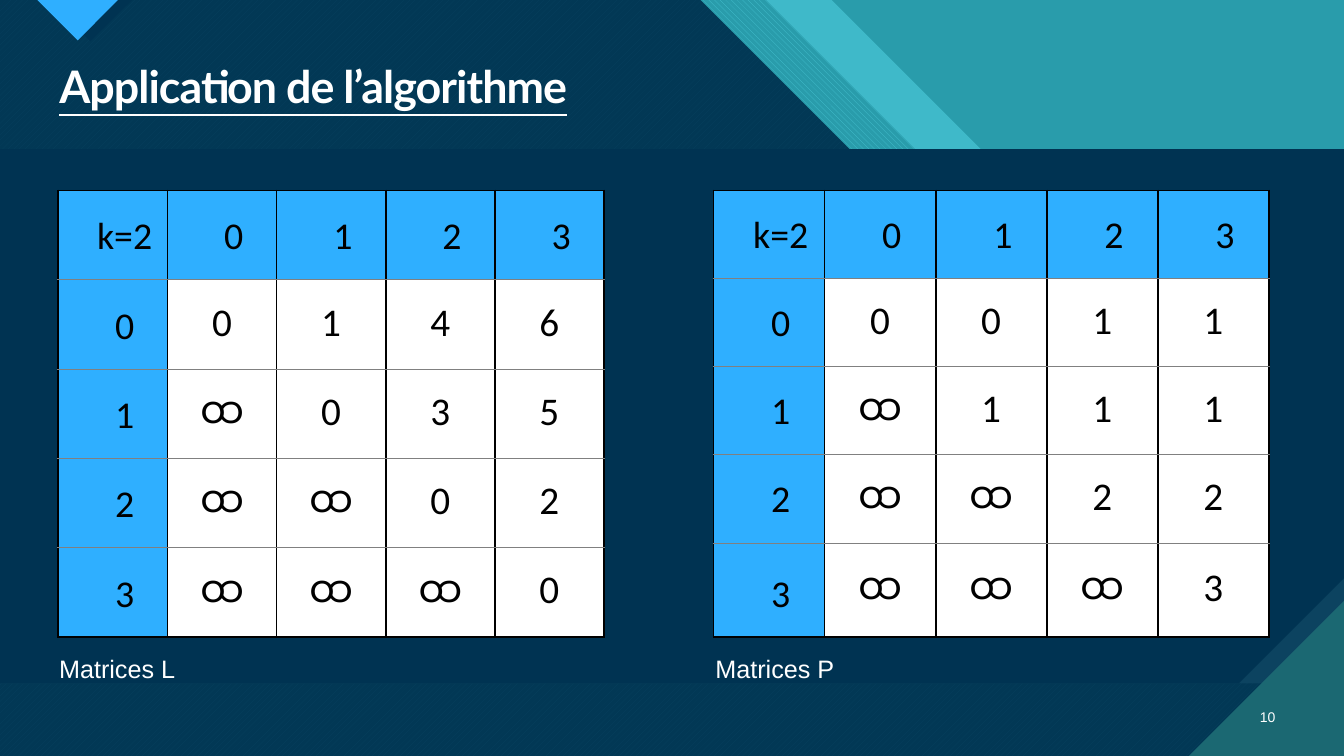
from lxml.etree import SubElement
from pptx import Presentation
from pptx.dml.color import RGBColor
from pptx.enum.dml import MSO_PATTERN_TYPE as Pattern
from pptx.enum.text import MSO_ANCHOR as Anchor, PP_ALIGN as Align
from pptx.oxml.ns import qn
from pptx.util import Cm, Pt

COLOURS = {
    "teal": "299CAB", "aqua": "47C3D3", "light": "3FB9C9", "pine": "1B6872",
    "navy": "003352", "edge": "0C4360", "blue": "2FAFFF",
    "white": "FFFFFF", "black": "000000", "grey": "808080",
}
WIDTH, HEIGHT = 33.87, 19.05
PANEL_TOP, PANEL_BOTTOM, SNIP = 3.76, 17.22, 2.65
CORNER = 3.91
MATRIX_L = [
    ["k=2", "0", "1", "2", "3"],
    ["0", "0", "1", "4", "6"],
    ["1", "ထ", "0", "3", "5"],
    ["2", "ထ", "ထ", "0", "2"],
    ["3", "ထ", "ထ", "ထ", "0"],
]
MATRIX_P = [
    ["k=2", "0", "1", "2", "3"],
    ["0", "0", "0", "1", "1"],
    ["1", "ထ", "1", "1", "1"],
    ["2", "ထ", "ထ", "2", "2"],
    ["3", "ထ", "ထ", "ထ", "3"],
]


def colour(name):
    """Return the named colour."""
    return RGBColor.from_string(COLOURS[name])


def add_polygon(page, points, fill, pattern=None, back=None, alpha=None):
    """Draw a closed outline with a solid or hatched fill."""
    corners = [(Cm(x), Cm(y)) for x, y in points]
    builder = page.shapes.build_freeform(*corners[0])
    builder.add_line_segments(corners[1:])
    shape = builder.convert_to_shape()
    shape.shadow.inherit = False
    shape.line.fill.background()
    if pattern:
        shape.fill.patterned()
        shape.fill.pattern = pattern
        shape.fill.fore_color.rgb = colour(fill)
        shape.fill.back_color.rgb = colour(back)
    else:
        shape.fill.solid()
        shape.fill.fore_color.rgb = colour(fill)
    if alpha:
        tint = next(shape.element.spPr.iter(qn("a:srgbClr")))
        SubElement(tint, qn("a:alpha"), val=str(alpha * 1000))


def add_band(page, edge, fill, **options):
    """Draw the area left of a falling diagonal that starts at edge."""
    points = [(0, 0), (edge, 0), (WIDTH, WIDTH - edge), (WIDTH, HEIGHT), (0, HEIGHT)]
    add_polygon(page, points, fill, **options)


def add_panel(page, snip, fill):
    """Draw the content panel with its lower right corner cut off."""
    add_polygon(page, [(0, PANEL_TOP), (WIDTH, PANEL_TOP), (WIDTH, PANEL_BOTTOM - snip),
                       (WIDTH - snip, PANEL_BOTTOM), (0, PANEL_BOTTOM)], fill)


def add_backdrop(page):
    """Draw the diagonal bands, the panel and the corner triangles."""
    page.background.fill.solid()
    page.background.fill.fore_color.rgb = colour("teal")
    add_band(page, 20.96, "light")
    add_band(page, 19.3, "aqua", pattern=Pattern.WIDE_DOWNWARD_DIAGONAL, back="teal")
    add_band(page, 17.65, "aqua", pattern=Pattern.WIDE_UPWARD_DIAGONAL, back="pine")
    add_band(page, 17.65, "navy", alpha=90)
    add_polygon(page, [(1.22, 0), (3.33, 0), (2.28, 1.04)], "navy")
    add_polygon(page, [(0.94, 0), (2.97, 0), (1.96, 1.02)], "blue")
    add_panel(page, 0, "edge")
    add_panel(page, SNIP, "navy")
    add_polygon(page, [(WIDTH - CORNER, HEIGHT), (WIDTH, HEIGHT), (WIDTH, HEIGHT - CORNER)],
                "pine")


def add_span(para, text, size, font, fill):
    """Add one formatted run and return it."""
    span = para.add_run()
    span.text = text
    span.font.size = Pt(size)
    span.font.name = font
    span.font.color.rgb = colour(fill)
    return span


def place(shape, left, top, width, height):
    """Set the position and size of a shape."""
    shape.left, shape.top = Cm(left), Cm(top)
    shape.width, shape.height = Cm(width), Cm(height)


def add_title(page, text):
    """Fill and format the title placeholder."""
    title = page.shapes.title
    place(title, 1.24, 1.5, 31.14, 2.72)
    title.text_frame.vertical_anchor = Anchor.TOP
    para = title.text_frame.paragraphs[0]
    para.alignment = Align.LEFT
    para.line_spacing = 0.9
    span = add_span(para, text, 32, "Lato", "white")
    span.font.bold = span.font.underline = True
    span.font.element.set("spc", "-70") if hasattr(span.font, "element") else \
        span._r.get_or_add_rPr().set("spc", "-70")


def add_label(page, text, left, top, width, size, align=Align.LEFT):
    """Add a one-line text box."""
    box = page.shapes.add_textbox(Cm(left), Cm(top), Cm(width), Cm(1.02))
    box.text_frame.word_wrap = True
    box.text_frame.vertical_anchor = Anchor.MIDDLE
    para = box.text_frame.paragraphs[0]
    para.alignment = align
    add_span(para, text, size, "Arial", "white")


def set_borders(cell, top, bottom):
    """Draw black sides and rules that are heavy only on the outer edge."""
    properties = cell._tc.get_or_add_tcPr()
    heavy, fine = ("black", 1.5), ("grey", 0.5)
    sides = {"a:lnL": heavy, "a:lnR": heavy,
             "a:lnT": heavy if top else fine, "a:lnB": heavy if bottom else fine}
    for index, (tag, (name, width)) in enumerate(sides.items()):
        line = SubElement(properties, qn(tag), w=str(Pt(width)))
        properties.insert(index, line)
        fill = SubElement(line, qn("a:solidFill"))
        SubElement(fill, qn("a:srgbClr"), val=COLOURS[name])


def fill_cell(cell, text, header):
    """Write one matrix entry as a header or a value."""
    margins = (0.64, 0.5, 0.05, 0.5) if header else (0.03, 0.03, 0.03, 0.12)
    cell.margin_left, cell.margin_top, cell.margin_right, cell.margin_bottom = map(Cm, margins)
    cell.vertical_anchor = Anchor.BOTTOM if header else Anchor.MIDDLE
    cell.fill.solid()
    cell.fill.fore_color.rgb = colour("blue" if header else "white")
    para = cell.text_frame.paragraphs[0]
    para.alignment = Align.CENTER
    add_span(para, text, 27 if header else 28, "Calibri", "black")


def add_matrix(page, entries, left, column_width, row_heights):
    """Add a matrix as a table with header row and column."""
    count = len(entries)
    table = page.shapes.add_table(count, count, Cm(left), Cm(4.8), Cm(column_width * count),
                                  Cm(sum(row_heights))).table
    for column in table.columns:
        column.width = Cm(column_width)
    for row, (values, height) in enumerate(zip(entries, row_heights)):
        table.rows[row].height = Cm(height)
        for column, text in enumerate(values):
            cell = table.cell(row, column)
            fill_cell(cell, text, row == 0 or column == 0)
            set_borders(cell, row == 0, row == count - 1)


def main():
    """Build the slide and save it."""
    deck = Presentation()
    deck.slide_width, deck.slide_height = Cm(WIDTH), Cm(HEIGHT)
    page = deck.slides.add_slide(deck.slide_layouts[5])
    add_backdrop(page)
    add_title(page, "Application de l’algorithme")
    page.shapes._spTree.append(page.shapes.title._element)
    add_label(page, "10", 31.27, 17.55, 1.12, 10, Align.RIGHT)
    add_matrix(page, MATRIX_P, 17.98, 2.8, [2.22] * 4 + [2.37])
    add_matrix(page, MATRIX_L, 1.47, 2.75, [2.25] * 5)
    add_label(page, "Matrices L", 1.24, 16.33, 14.4, 18)
    add_label(page, "Matrices P", 17.78, 16.33, 14.4, 18)
    deck.save("out.pptx")


if __name__ == "__main__":
    main()
